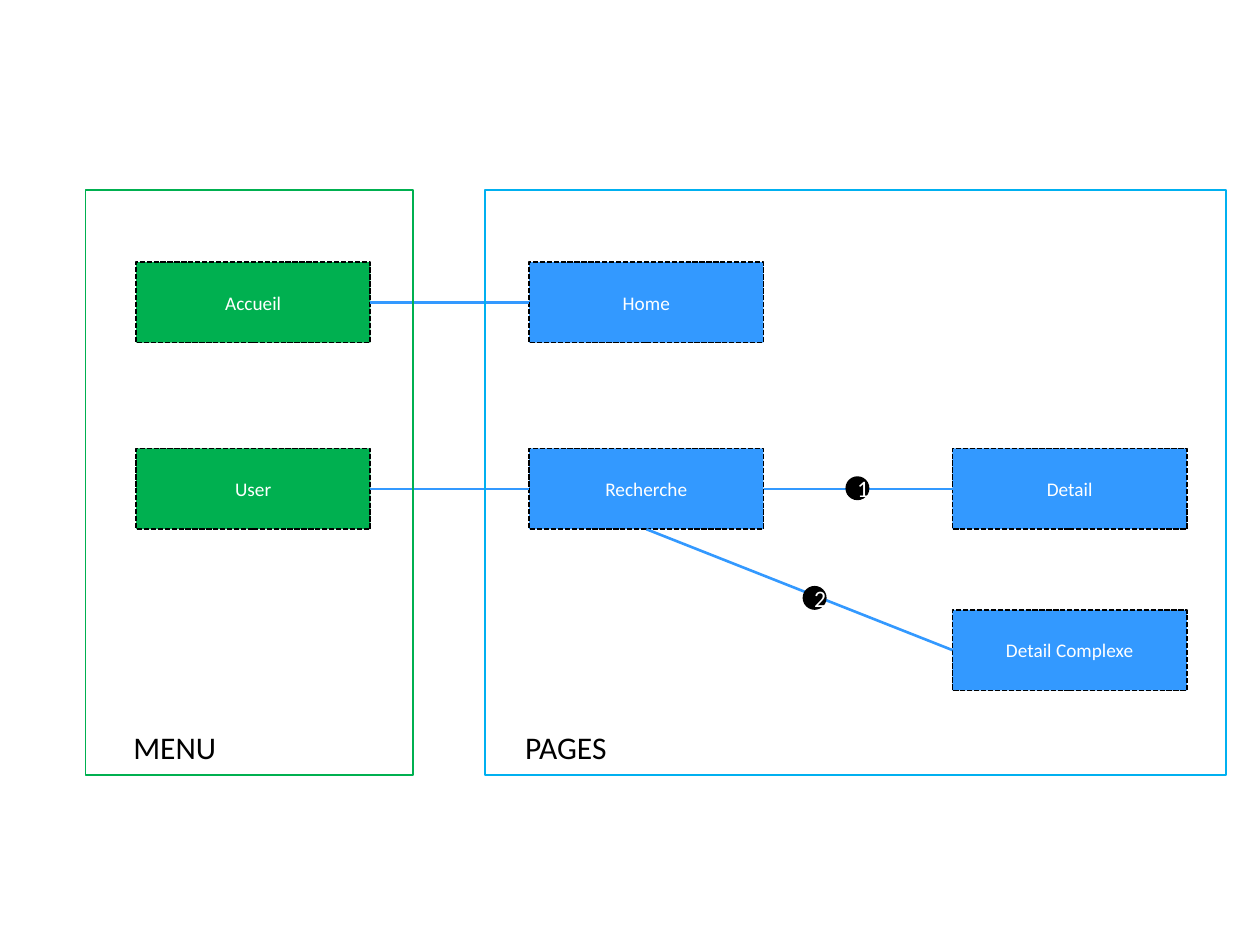
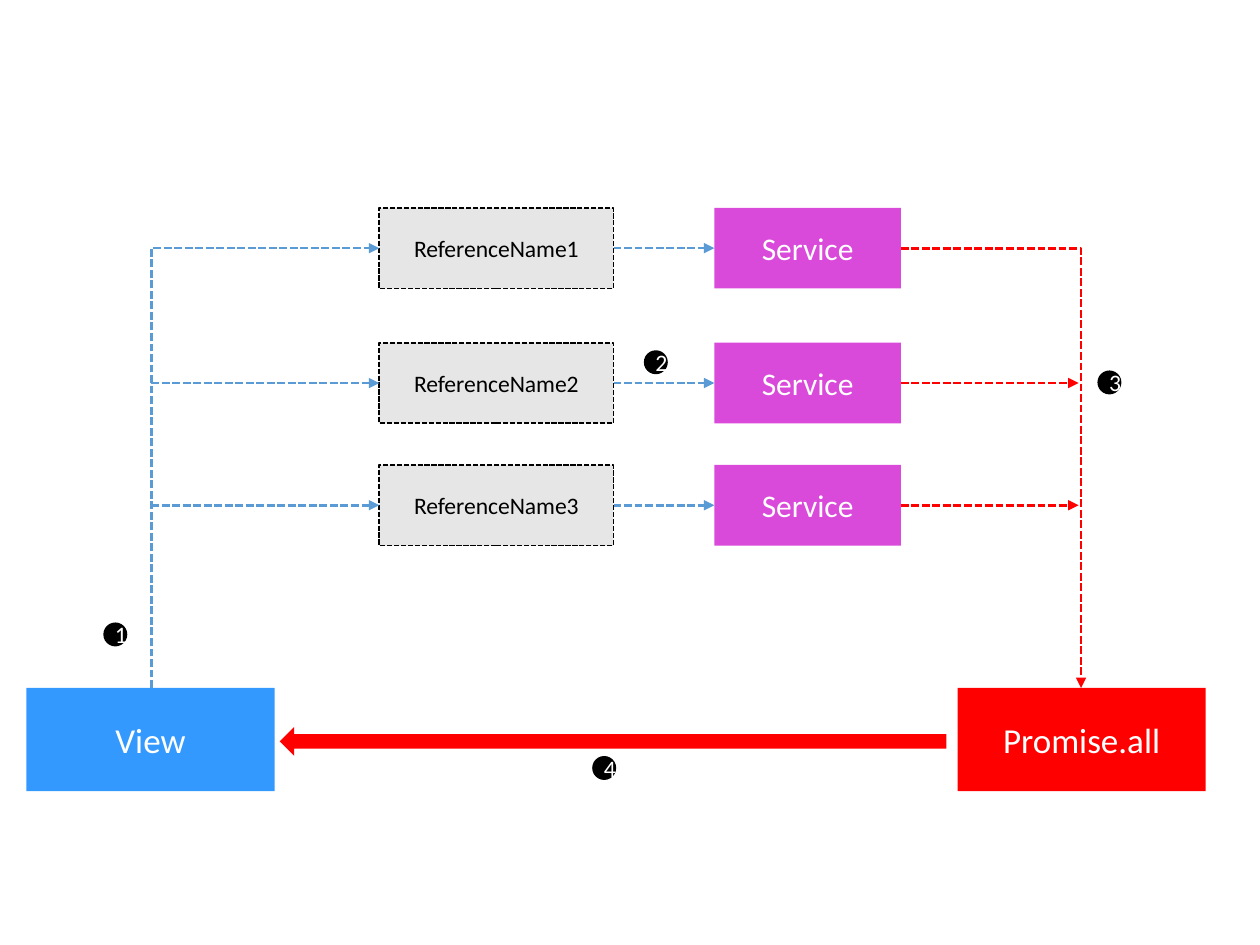
from lxml.etree import SubElement
from pptx import Presentation
from pptx.dml.color import RGBColor
from pptx.enum.dml import MSO_LINE
from pptx.enum.shapes import MSO_CONNECTOR, MSO_SHAPE
from pptx.enum.text import MSO_ANCHOR, MSO_AUTO_SIZE, PP_ALIGN
from pptx.oxml.ns import qn
from pptx.util import Inches, Pt

FONT = "Calibri"
BLACK, WHITE, GREY = "000000", "FFFFFF", "E7E6E6"
GREEN, BLUE, CYAN, STEEL = "00B050", "3399FF", "00B0F0", "5B9BD5"
RED, PURPLE = "FF0000", "CC00CC"
TOP, LEFT, BOTTOM, RIGHT = range(4)
BOX_WIDTH, BOX_HEIGHT = 1.86, 0.64
BADGE_SIZE = 0.19


def color(hex_string):
    return RGBColor.from_string(hex_string)


def is_joint(end):
    """Tell a (shape, side) pair from an (x, y) point."""
    return hasattr(end[0], "shape_id")


class Diagram:
    def __init__(self, deck):
        self.deck = deck
        self.page = None

    def new_page(self):
        self.page = self.deck.slides.add_slide(self.deck.slide_layouts[6])

    def set_text(self, shape, text, size, ink, align):
        para = shape.text_frame.paragraphs[0]
        para.text = text
        para.alignment = align
        para.font.name = FONT
        para.font.size = Pt(size)
        para.font.color.rgb = color(ink)

    def shape(self, kind, left, top, width, height, fill=None, line=None,
              dashed=False, alpha=None):
        shape = self.page.shapes.add_shape(
            kind, Inches(left), Inches(top), Inches(width), Inches(height))
        shape.shadow.inherit = False
        if fill:
            shape.fill.solid()
            shape.fill.fore_color.rgb = color(fill)
        else:
            shape.fill.background()
        if alpha:
            tone = shape._element.spPr.find(qn("a:solidFill"))[0]
            SubElement(tone, qn("a:alpha"), val=str(alpha * 1000))
        if line:
            shape.line.color.rgb = color(line)
            shape.line.width = Pt(1)
        else:
            shape.line.fill.background()
        if dashed:
            shape.line.dash_style = MSO_LINE.SQUARE_DOT
        return shape

    def label(self, shape, text, size, ink=WHITE):
        frame = shape.text_frame
        frame.vertical_anchor = MSO_ANCHOR.MIDDLE
        frame.margin_left = frame.margin_right = Inches(0.07)
        frame.margin_top = frame.margin_bottom = Inches(0.04)
        self.set_text(shape, text, size, ink, PP_ALIGN.CENTER)
        return shape

    def dashed_box(self, left, top, text, fill, size=11, ink=WHITE):
        box = self.shape(MSO_SHAPE.RECTANGLE, left, top, BOX_WIDTH, BOX_HEIGHT,
                         fill, BLACK, dashed=True)
        return self.label(box, text, size, ink)

    def plain_box(self, left, top, width, height, text, size, fill, alpha=None):
        box = self.shape(MSO_SHAPE.RECTANGLE, left, top, width, height, fill,
                         alpha=alpha)
        return self.label(box, text, size)

    def badge(self, left, top, number):
        dot = self.shape(MSO_SHAPE.FLOWCHART_CONNECTOR, left, top,
                         BADGE_SIZE, BADGE_SIZE, BLACK)
        self.label(dot, str(number), 13.5)

    def panel(self, left, width, line, caption, caption_left):
        self.shape(MSO_SHAPE.RECTANGLE, left, 1.51, width, 4.64, line=line)
        box = self.page.shapes.add_textbox(
            Inches(caption_left), Inches(5.73), Inches(1.65), Inches(0.4))
        box.text_frame.word_wrap = True
        box.text_frame.auto_size = MSO_AUTO_SIZE.SHAPE_TO_FIT_TEXT
        self.set_text(box, caption, 18, BLACK, PP_ALIGN.LEFT)

    def connector(self, line, start, end, arrow=False, kind=MSO_CONNECTOR.STRAIGHT):
        """Each end is a point (x, y) in inches, or a pair (shape, side)."""
        points = [(0, 0) if is_joint(place) else place for place in (start, end)]
        link = self.page.shapes.add_connector(
            kind, *(Inches(value) for point in points for value in point))
        if is_joint(start):
            link.begin_connect(*start)
        if is_joint(end):
            link.end_connect(*end)
        link.line.color.rgb = color(line)
        link.line.width = Pt(1.5)
        properties = link._element.spPr
        if arrow:
            link.line.dash_style = MSO_LINE.SQUARE_DOT
            SubElement(properties.find(qn("a:ln")), qn("a:tailEnd"), type="triangle")
        SubElement(properties, qn("a:effectLst"))
        return link

    def corner(self, line, start, end, upright=False):
        """Arrow with one bend; upright means it leaves vertically, upwards."""
        link = self.connector(line, start, end, True, MSO_CONNECTOR.ELBOW)
        properties = link._element.spPr
        properties.find(qn("a:prstGeom")).set("prst", "bentConnector2")
        if upright:
            width, height = end[0] - start[0], start[1] - end[1]
            link.left = Inches(start[0] + (width - height) / 2)
            link.top = Inches(end[1] + (height - width) / 2)
            link.width, link.height = Inches(height), Inches(width)
            frame = properties.find(qn("a:xfrm"))
            for name, value in (("rot", "5400000"), ("flipH", "1"), ("flipV", "1")):
                frame.set(name, value)


def build_site_map(diagram):
    diagram.new_page()
    menu_left, page_left, detail_left = 1.08, 4.2, 7.56
    home_top, search_top = 2.08, 3.56
    accueil = diagram.dashed_box(menu_left, home_top, "Accueil", GREEN)
    user = diagram.dashed_box(menu_left, search_top, "User", GREEN)
    home = diagram.dashed_box(page_left, home_top, "Home", BLUE)
    search = diagram.dashed_box(page_left, search_top, "Recherche", BLUE)
    detail = diagram.dashed_box(detail_left, search_top, "Detail", BLUE)
    complex_detail = diagram.dashed_box(detail_left, 4.84, "Detail Complexe", BLUE)

    for source, side, target in ((accueil, RIGHT, home), (user, RIGHT, search),
                                 (search, RIGHT, detail),
                                 (search, BOTTOM, complex_detail)):
        diagram.connector(BLUE, (source, side), (target, LEFT))
    diagram.badge(6.71, 3.78, 1)
    diagram.badge(6.37, 4.65, 2)
    diagram.panel(0.68, 2.6, GREEN, "MENU", 0.96)
    diagram.panel(3.85, 5.88, CYAN, "PAGES", 4.07)


def build_service_calls(diagram):
    diagram.new_page()
    reference_left, service_left, service_width = 3.01, 5.67, 1.48
    end_top, end_width, end_height = 5.46, 1.97, 0.82
    view_x, promise_x = 1.2, 8.58
    diagram.plain_box(0.21, end_top, end_width, end_height, "View", 20, BLUE)
    diagram.plain_box(7.6, end_top, end_width, end_height, "Promise.all", 20, RED)

    for number, top in enumerate((1.65, 2.72, 3.69), 1):
        middle = top + BOX_HEIGHT / 2
        reference = diagram.dashed_box(reference_left, top, f"ReferenceName{number}",
                                       GREY, 13.5, BLACK)
        service = diagram.plain_box(service_left, top, service_width, BOX_HEIGHT,
                                    "Service", 18, PURPLE, alpha=71)
        diagram.connector(STEEL, (reference, RIGHT), (service, LEFT), arrow=True)
        if number == 1:
            diagram.corner(STEEL, (view_x, end_top), (reference_left, middle),
                           upright=True)
            diagram.corner(RED, (service_left + service_width, middle),
                           (promise_x, end_top))
        else:
            diagram.connector(STEEL, (view_x, middle), (reference, LEFT), arrow=True)
            diagram.connector(RED, (service, RIGHT), (promise_x - 0.02, middle),
                              arrow=True)

    diagram.shape(MSO_SHAPE.LEFT_ARROW, 2.22, 5.77, 5.29, 0.23, RED)
    badge_places = ((0.82, 4.94), (5.11, 2.78), (8.71, 2.94), (4.7, 6))
    for number, (left, top) in enumerate(badge_places, 1):
        diagram.badge(left, top, number)


def main():
    deck = Presentation()
    deck.slide_width, deck.slide_height = Inches(10), Inches(7.5)
    diagram = Diagram(deck)
    build_site_map(diagram)
    build_service_calls(diagram)
    deck.save("out.pptx")


if __name__ == "__main__":
    main()
